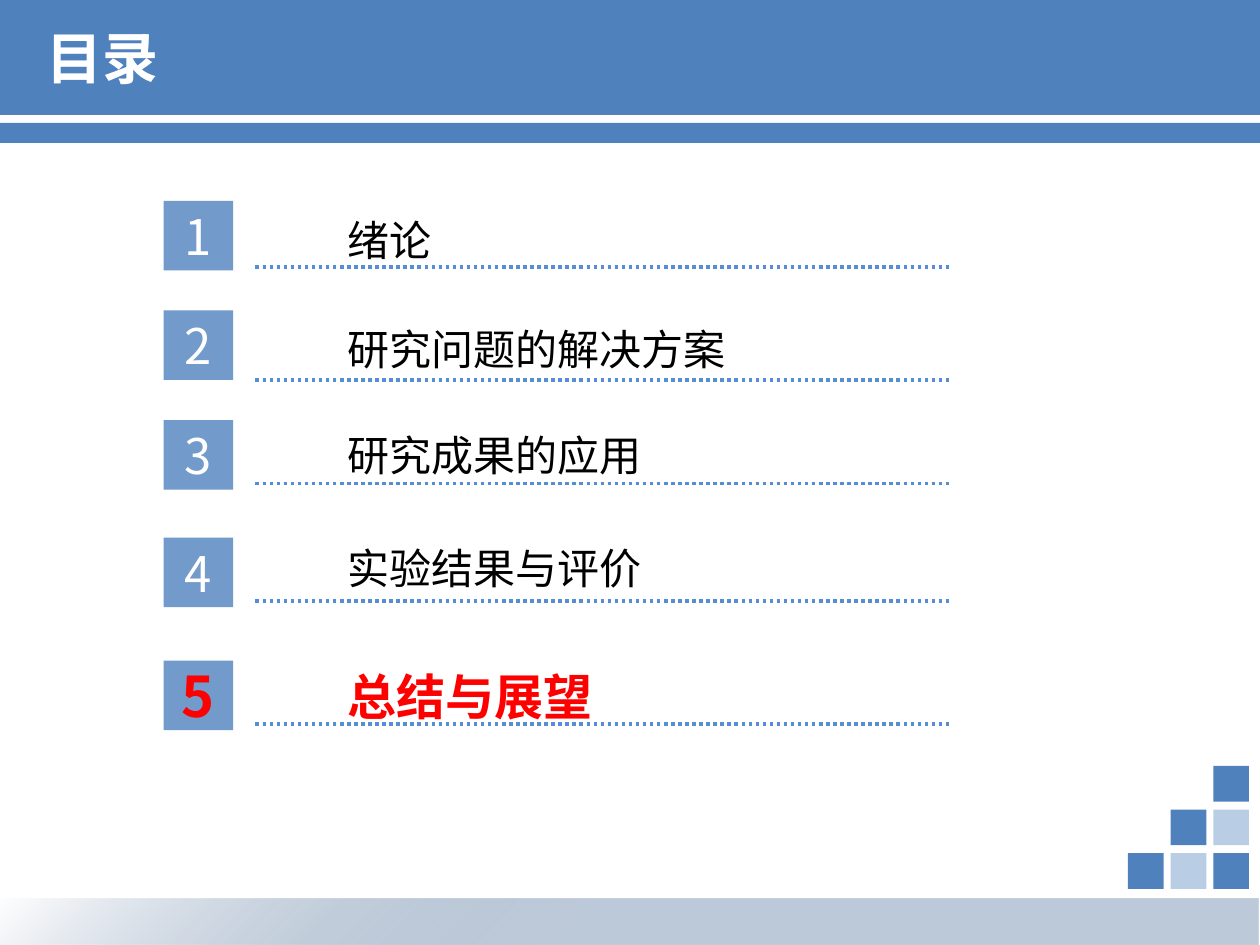
from dataclasses import dataclass
from typing import Optional

from lxml.etree import SubElement
from pptx import Presentation
from pptx.dml.color import RGBColor
from pptx.enum.dml import MSO_LINE_DASH_STYLE as Dash
from pptx.enum.shapes import MSO_CONNECTOR as Connector, MSO_SHAPE as Shape
from pptx.enum.text import MSO_ANCHOR as Anchor, MSO_AUTO_SIZE as AutoSize, PP_ALIGN as Align
from pptx.oxml import parse_xml
from pptx.oxml.ns import nsdecls, qn
from pptx.util import Cm, Pt


@dataclass(frozen=True)
class Theme:
    blue: str = "4F81BD"
    pale: str = "B9CDE5"
    rule: str = "558ED5"
    navy: str = "1F497D"
    white: str = "FFFFFF"
    black: str = "000000"
    red: str = "FF0000"
    latin: str = "Calibri"
    cjk: str = "Noto Sans CJK SC"
    title: int = 32
    number: int = 28
    entry: int = 24
    step: int = 4  # extra size of the current entry


@dataclass(frozen=True)
class Entry:
    text: str
    tile_y: float
    text_y: float
    rule_y: float
    current: bool = False


T = Theme()
ENTRIES = (
    Entry("绪论", 4.05, 4.19, 5.38),
    Entry("研究问题的解决方案", 6.26, 6.4, 7.66),
    Entry("研究成果的应用", 8.47, 8.53, 9.75),
    Entry("实验结果与评价", 10.84, 10.82, 12.12),
    Entry("总结与展望", 13.32, 13.31, 14.6, current=True),
)


def put_text(s, text: str, *, size: int, color: str, font: str = T.cjk, bold: bool = False,
             align: Align = Align.LEFT, anchor: Anchor = Anchor.MIDDLE) -> None:
    tf = s.text_frame
    tf.word_wrap = True
    tf.vertical_anchor = anchor
    p = tf.paragraphs[0]
    p.alignment = align
    r = p.add_run()
    r.text = text
    r.font.size, r.font.bold, r.font.name = Pt(size), bold, font
    r.font.color.rgb = RGBColor.from_string(color)
    SubElement(r.font._element, qn("a:ea")).set("typeface", T.cjk)


def add_box(shapes, x: float, y: float, w: float, h: float, color: str,
            opacity: Optional[int] = None):
    """Add a borderless rectangle; opacity is in percent."""
    s = shapes.add_shape(Shape.RECTANGLE, Cm(x), Cm(y), Cm(w), Cm(h))
    s.shadow.inherit = False
    s.line.fill.background()
    s.fill.solid()
    s.fill.fore_color.rgb = RGBColor.from_string(color)
    if opacity is not None:
        clr = s.fill._xPr.find(f".//{qn('a:srgbClr')}")
        SubElement(clr, qn("a:alpha")).set("val", str(opacity * 1000))
    return s


def add_footer(shapes) -> None:
    """Add the bottom band, which fades to white at its top left corner."""
    s = add_box(shapes, 0, 18.11, 25.38, 0.94, T.navy)
    stops = "".join(
        f'<a:gs pos="{pos * 1000}"><a:srgbClr val="{color}">'
        f'<a:alpha val="{alpha * 1000}"/></a:srgbClr></a:gs>'
        for pos, color, alpha in ((55, T.navy, 29), (100, T.white, 69)))
    grad = parse_xml(
        f'<a:gradFill {nsdecls("a")} rotWithShape="1"><a:gsLst>{stops}</a:gsLst>'
        '<a:path path="circle"><a:fillToRect l="100000" t="100000"/></a:path></a:gradFill>')
    sp_pr = s._element.spPr
    sp_pr.replace(sp_pr.find(qn("a:solidFill")), grad)


def add_stairs(shapes) -> None:
    """Add the corner squares, whose colours alternate by diagonal."""
    group = shapes.add_group_shape()
    for row in range(3):
        for col in range(2 - row, 3):
            color = T.pale if row + col == 3 else T.blue
            add_box(group.shapes, 22.74 + col * 0.86, 15.44 + row * 0.88, 0.72, 0.72, color)


def add_rule(shapes, y: float) -> None:
    c = shapes.add_connector(Connector.STRAIGHT, Cm(5.15), Cm(y), Cm(19.14), Cm(y))
    c.line.color.rgb = RGBColor.from_string(T.rule)
    c.line.width = Pt(2)
    c.line.dash_style = Dash.ROUND_DOT  # written as sysDot
    SubElement(c._element.spPr, qn("a:effectLst"))


def add_entry(shapes, number: int, entry: Entry) -> None:
    extra = T.step if entry.current else 0
    tile = add_box(shapes, 3.3, entry.tile_y, 1.4, 1.4, T.blue, opacity=80)
    put_text(tile, str(number), size=T.number + extra, bold=entry.current,
             color=T.red if entry.current else T.white, align=Align.CENTER)
    add_rule(shapes, entry.rule_y)
    label = shapes.add_textbox(Cm(6.76), Cm(entry.text_y), Cm(8.36),
                               Cm(1.45 if entry.current else 1.27))
    put_text(label, entry.text, size=T.entry + extra, bold=entry.current,
             color=T.red if entry.current else T.black, anchor=Anchor.TOP)
    label.text_frame.auto_size = AutoSize.SHAPE_TO_FIT_TEXT


def main() -> None:
    prs = Presentation()
    prs.slide_width, prs.slide_height = Cm(25.4), Cm(19.05)
    shapes = prs.slides.add_slide(prs.slide_layouts[6]).shapes

    add_box(shapes, 0, 0, 25.4, 2.32, T.blue)
    title = shapes.add_textbox(Cm(0.69), Cm(0.08), Cm(24.13), Cm(2.16))
    put_text(title, "目录", size=T.title, color=T.white, font=T.latin, bold=True)
    add_footer(shapes)
    add_stairs(shapes)
    add_box(shapes, 0, 2.48, 25.4, 0.4, T.blue)
    for number, entry in enumerate(ENTRIES, 1):
        add_entry(shapes, number, entry)

    prs.save("out.pptx")


if __name__ == "__main__":
    main()
